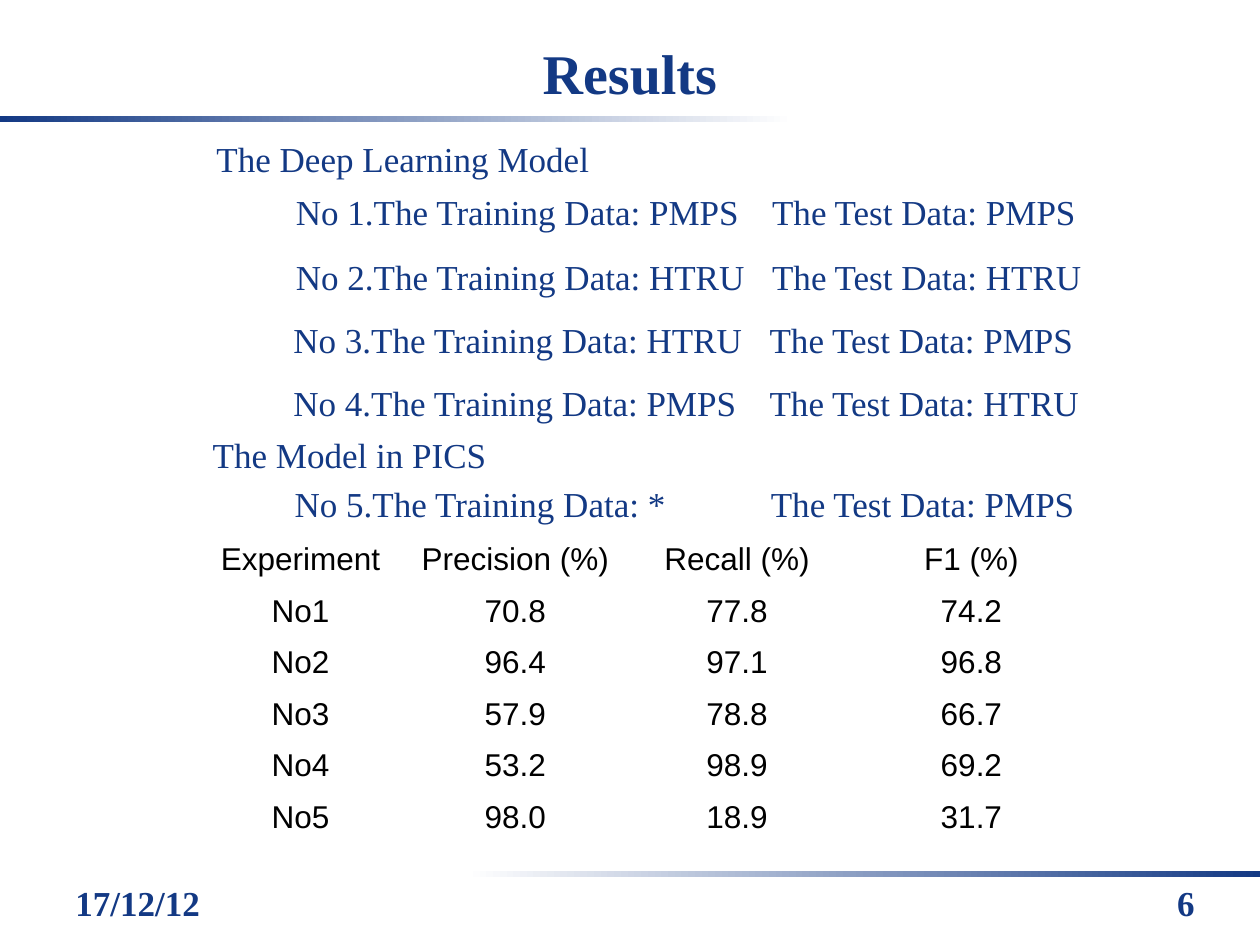
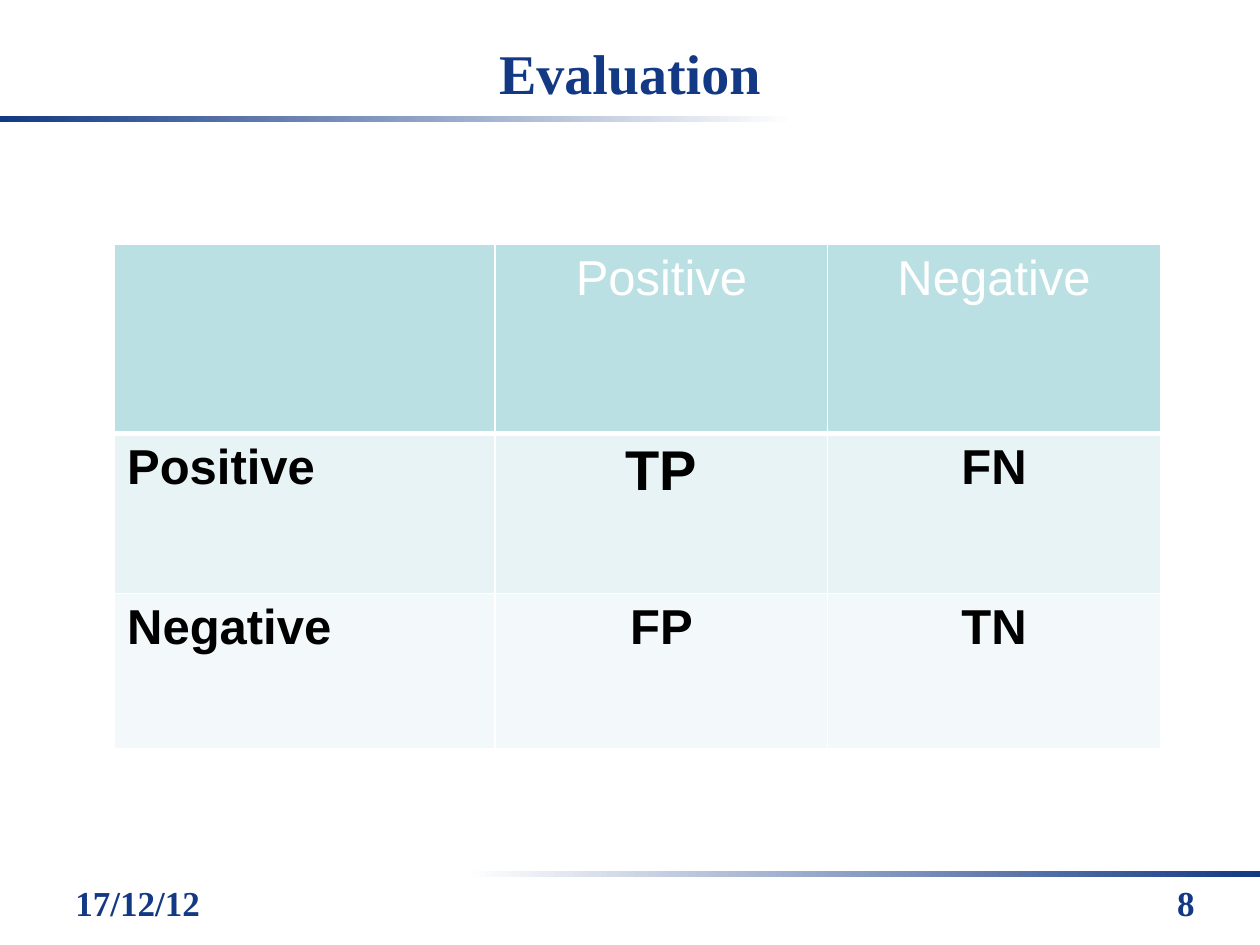
"""Build the results and evaluation slides."""
import pptx
import pptx.dml.color
import pptx.enum.shapes
import pptx.enum.text
import pptx.oxml.ns
import pptx.util
from lxml import etree

Inches = pptx.util.Inches
RGBColor = pptx.dml.color.RGBColor
ALIGN = pptx.enum.text.PP_ALIGN
ANCHOR = pptx.enum.text.MSO_ANCHOR
qn = pptx.oxml.ns.qn

NAVY = RGBColor(0x13, 0x39, 0x84)
WHITE = RGBColor(0xFF, 0xFF, 0xFF)
BLACK = RGBColor(0, 0, 0)
TEAL = RGBColor(0xBB, 0xE0, 0xE3)
PALE = RGBColor(0xE7, 0xF3, 0xF4)
MIST = RGBColor(0xF3, 0xF9, 0xFA)
SERIF = "Times New Roman"
SANS = "Arial"
DATE = "17/12/12"

TRIALS = [
    (2.25, 1.46, "No 1.The Training Data: PMPS", "PMPS"),
    (2.25, 1.98, "No 2.The Training Data: HTRU", "HTRU"),
    (2.23, 2.48, "No 3.The Training Data: HTRU", "PMPS"),
    (2.23, 2.98, "No 4.The Training Data: PMPS", "HTRU"),
    (2.24, 3.78, "No 5.The Training Data: *", "PMPS"),
]
SCORES = [
    ("Experiment", "Precision (%)", "Recall (%)", "F1 (%)"),
    ("No1", "70.8", "77.8", "74.2"),
    ("No2", "96.4", "97.1", "96.8"),
    ("No3", "57.9", "78.8", "66.7"),
    ("No4", "53.2", "98.9", "69.2"),
    ("No5", "98.0", "18.9", "31.7"),
]
MATRIX = [
    ("", "Positive", "Negative"),
    ("Positive", "TP", "FN"),
    ("Negative", "FP", "TN"),
]


def write(frame, text, size=20, font=SERIF, color=NAVY, bold=False,
          align=ALIGN.LEFT, tab=None):
    """Fill the first paragraph of a frame with formatted text."""
    para = frame.paragraphs[0]
    para.alignment = align
    if tab:
        stops = etree.SubElement(para._p.get_or_add_pPr(), qn("a:tabLst"))
        etree.SubElement(stops, qn("a:tab"), pos=str(Inches(tab)), algn="l")
    run = para.add_run()
    run.text = text
    run.font.size = pptx.util.Pt(size)
    run.font.name = font
    run.font.bold = bold
    run.font.color.rgb = color


def label(slide, text, left, top, width, height=0.42, **style):
    """Add a text box."""
    box = slide.shapes.add_textbox(
        Inches(left), Inches(top), Inches(width), Inches(height))
    box.text_frame.word_wrap = True
    write(box.text_frame, text, **style)


def band(slide, left, top, turn):
    """Add a bar that fades from white to navy."""
    bar = slide.shapes.add_shape(
        pptx.enum.shapes.MSO_SHAPE.RECTANGLE,
        Inches(left), Inches(top), Inches(6.3), Inches(0.05))
    bar.shadow.inherit = False
    bar.rotation = turn
    bar.line.fill.background()
    bar.fill.gradient()
    bar.fill.gradient_angle = 0
    for stop, color, place in zip(bar.fill.gradient_stops, (WHITE, NAVY), (0, 1)):
        stop.color.rgb = color
        stop.position = place


def start(deck, title, number):
    """Add a slide with its title, bands and footer."""
    slide = deck.slides.add_slide(deck.slide_layouts[5])
    head = slide.shapes.title
    head.left, head.top = Inches(0), Inches(0.2)
    head.width, head.height = Inches(10), Inches(0.75)
    head.text_frame.vertical_anchor = ANCHOR.MIDDLE
    write(head.text_frame, title, size=32, bold=True, align=ALIGN.CENTER)
    band(slide, 0, 0.92, 180)
    band(slide, 3.7, 6.91, 0)
    label(slide, DATE, 0.5, 6.95, 2.33, 0.4, bold=True)
    label(slide, str(number), 7.25, 6.95, 2.33, 0.4, bold=True, align=ALIGN.RIGHT)
    return slide


def grid(slide, left, top, widths, heights):
    """Add an empty table."""
    table = slide.shapes.add_table(
        len(heights), len(widths), Inches(left), Inches(top),
        Inches(sum(widths)), Inches(sum(heights))).table
    for col, width in zip(table.columns, widths):
        col.width = Inches(width)
    for row, height in zip(table.rows, heights):
        row.height = Inches(height)
    return table


def border(cell, base):
    """Draw white cell borders, with the given width at the base."""
    props = cell._tc.get_or_add_tcPr()
    sides = (("L", 1), ("R", 1), ("T", 1), ("B", base))
    for place, (side, width) in enumerate(sides):
        line = etree.Element(qn("a:ln" + side), w=str(pptx.util.Pt(width)))
        fill = etree.SubElement(line, qn("a:solidFill"))
        etree.SubElement(fill, qn("a:srgbClr"), val=str(WHITE))
        props.insert(place, line)


def results(deck):
    """Build the slide of trials and scores."""
    slide = start(deck, "Results", 6)
    label(slide, "The Deep Learning Model", 1.62, 1.04, 3.16)
    label(slide, "The Model in PICS", 1.59, 3.39, 2.6)
    for left, top, train, test in TRIALS:
        label(slide, f"{train}\tThe Test Data: {test}", left, top, 6.5, tab=3.78)
    table = grid(slide, 1.59, 4.3, (1.59, 1.82, 1.7, 2.02), [0.41] * len(SCORES))
    for r, row in enumerate(SCORES):
        for c, text in enumerate(row):
            cell = table.cell(r, c)
            cell.fill.background()
            cell.margin_left = cell.margin_right = 0
            cell.margin_top = cell.margin_bottom = 0
            write(cell.text_frame, text, size=18, font=SANS, color=BLACK,
                  align=ALIGN.CENTER)


def matrix(deck):
    """Build the slide of the confusion matrix."""
    slide = start(deck, "Evaluation", 8)
    table = grid(slide, 0.91, 1.94, (3.02, 2.64, 2.64), (1.5, 1.27, 1.23))
    for r, (row, shade) in enumerate(zip(MATRIX, (TEAL, PALE, MIST))):
        for c, text in enumerate(row):
            cell = table.cell(r, c)
            cell.fill.solid()
            cell.fill.fore_color.rgb = shade
            border(cell, 1 if r else 3)
            write(cell.text_frame, text, size=32 if text == "TP" else 28,
                  font=SANS, color=BLACK if r else WHITE, bold=r > 0,
                  align=ALIGN.CENTER if c else ALIGN.LEFT)


def main():
    """Build and save the deck."""
    deck = pptx.Presentation()
    deck.slide_width, deck.slide_height = Inches(10), Inches(7.5)
    results(deck)
    matrix(deck)
    deck.save("out.pptx")


if __name__ == "__main__":
    main()
